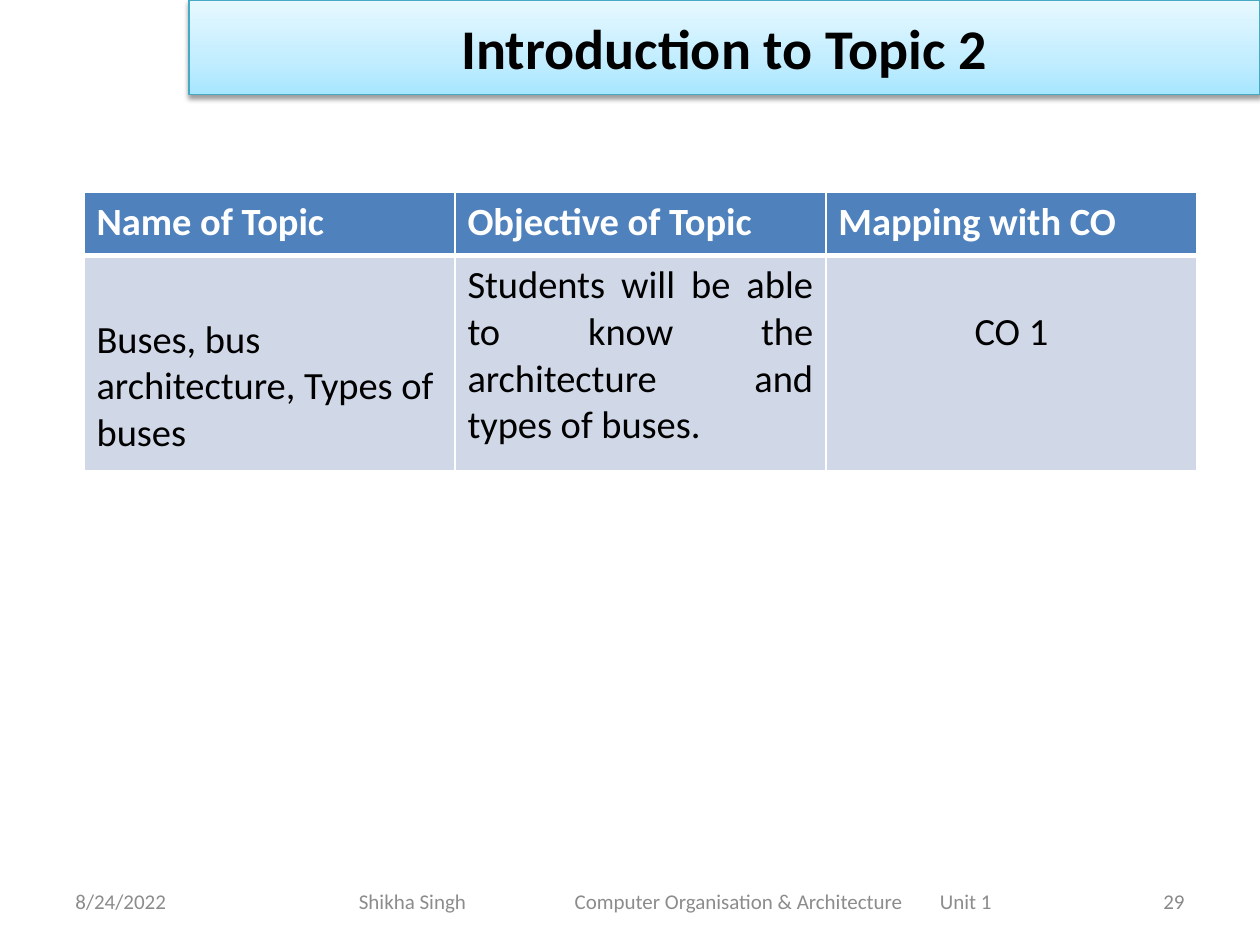
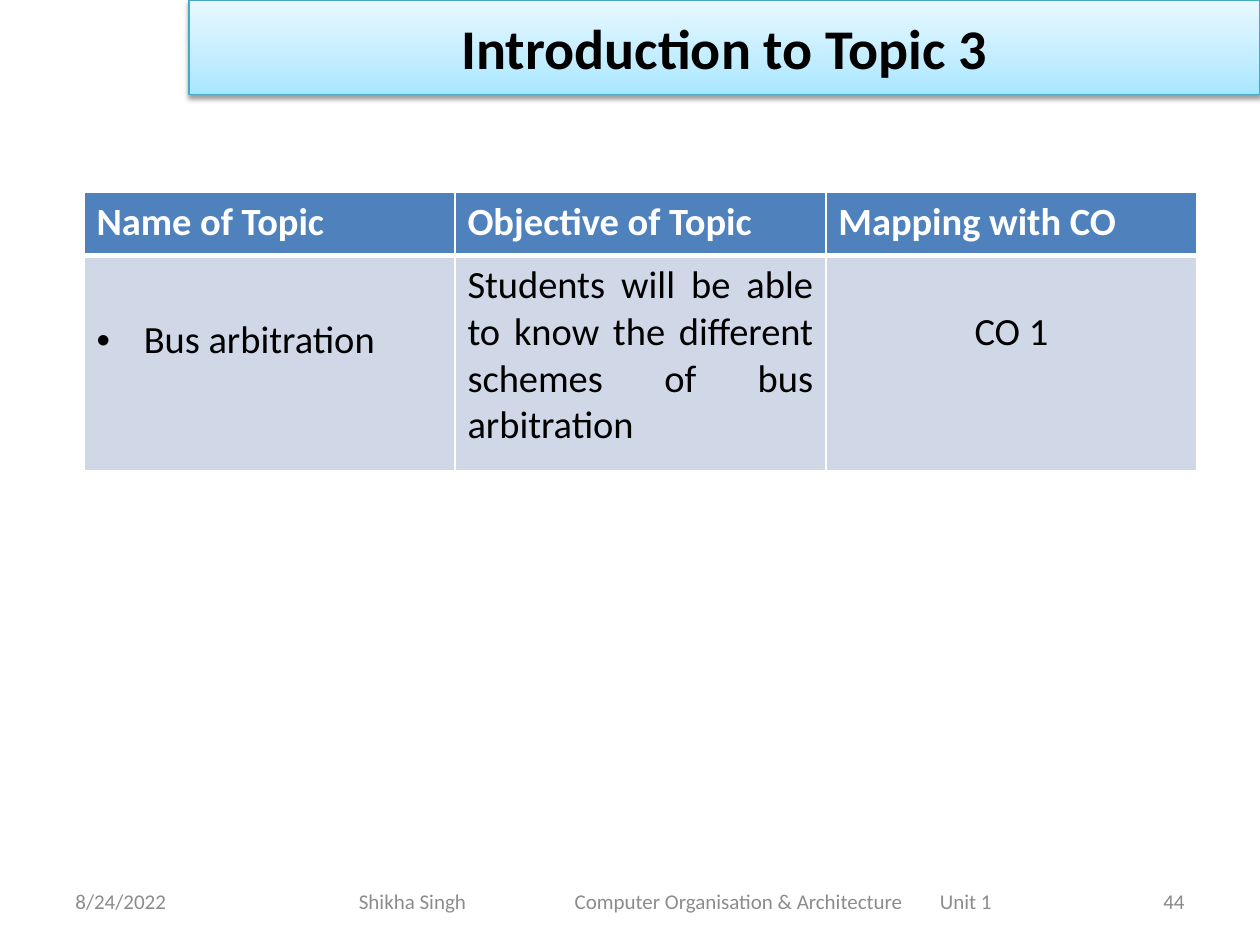
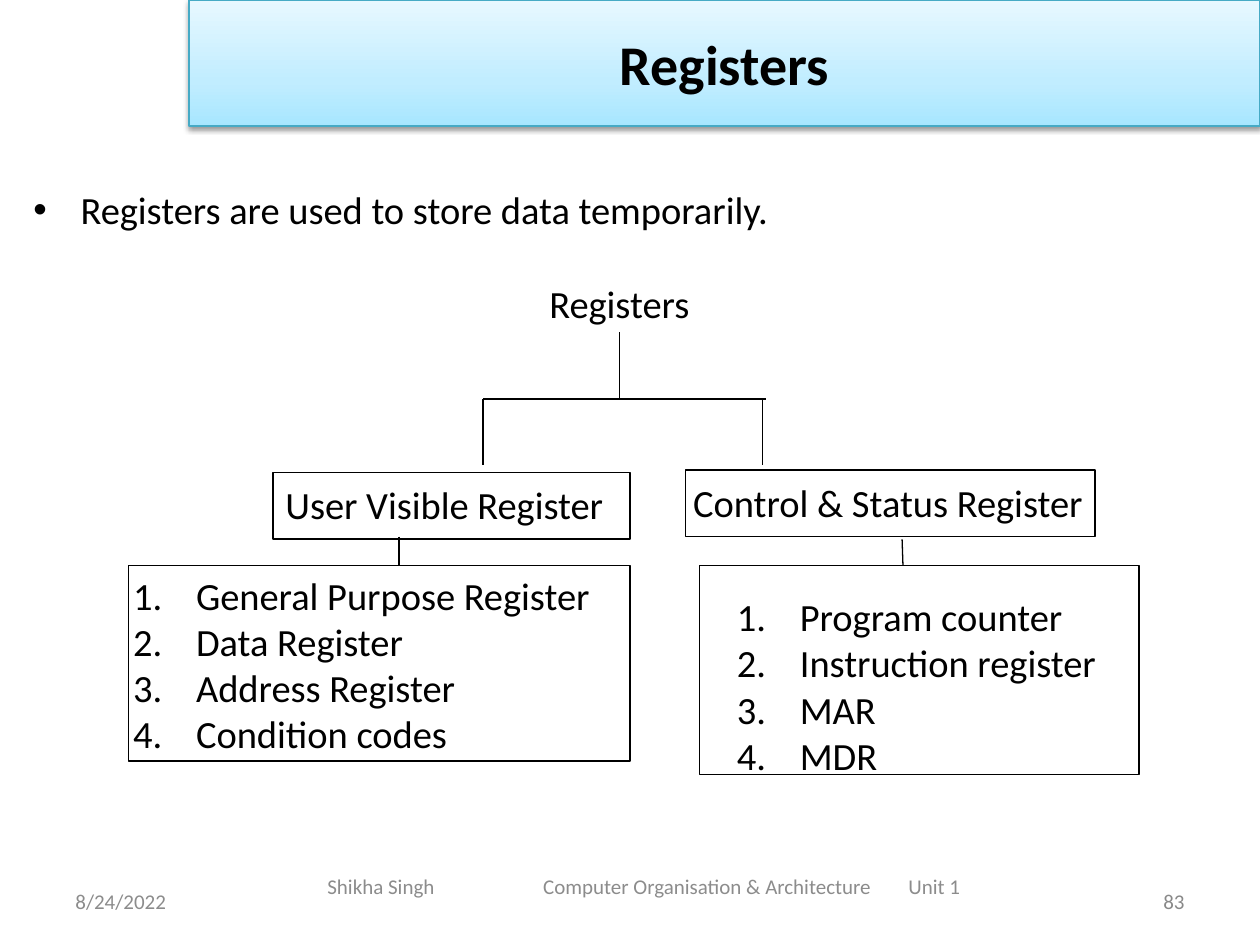
import lxml.etree
import pptx
import pptx.dml.color
import pptx.enum.dml
import pptx.enum.shapes
import pptx.enum.text
import pptx.oxml.ns
import pptx.util

Pt = pptx.util.Pt
Align = pptx.enum.text.PP_ALIGN
Anchor = pptx.enum.text.MSO_ANCHOR
COLORS = {
    "ink": "000000",
    "white": "FFFFFF",
    "footer": "8C8C8C",
    "number": "898989",
    "band_line": "46AAC5",
    "header": "4F81BD",
    "cell": "D0D8E8",
}
BAND_STOPS = [(0, "A7E6FF"), (35, "C1EDFF"), (100, "E7F8FF")]
TEXT_STYLES = {
    "title": {"size": 32, "bold": True, "color": "ink"},
    "body": {"size": 22, "bold": False, "color": "ink"},
    "header": {"size": 22, "bold": True, "color": "white"},
    "footer": {"size": 12, "bold": False, "color": "footer"},
    "number": {"size": 12, "bold": False, "color": "number"},
}
JUSTIFY = {"alignment": Align.JUSTIFY}
CENTER = {"alignment": Align.CENTER}
BULLET = {"alignment": Align.JUSTIFY, "bullet": "•", "indent": 27}
NUMBERED = {"alignment": Align.JUSTIFY, "bullet": "number", "indent": 36}
BODY_LINE = 26.86


def rgb(name):
    return pptx.dml.color.RGBColor.from_string(COLORS[name])


def add_element(parent, tag, **attributes):
    element = lxml.etree.SubElement(parent, pptx.oxml.ns.qn(tag))
    for name, value in attributes.items():
        element.set(name, str(value))
    return element


class SlideBuilder:
    def __init__(self, deck):
        self.deck = deck
        self.slide = None

    def start(self, title, number, band_height=54, footer_at=(198, 500.5)):
        self.slide = self.deck.slides.add_slide(self.deck.slide_layouts[6])
        self.text((36, 500.5, 168, 28.75), [("8/24/2022", {})], "footer", Anchor.MIDDLE)
        self.text(
            (*footer_at, 396, 28.75),
            [("Shikha Singh\tComputer Organisation & Architecture\tUnit 1", {"tabs": (123.3, 332)})],
            "footer",
            Anchor.MIDDLE,
        )
        self.text((516, 500.5, 168, 28.75), [(number, {"alignment": Align.RIGHT})], "number", Anchor.MIDDLE)
        self.band(title, band_height)

    def fill_text(self, frame, lines, style):
        look = TEXT_STYLES[style]
        for index, (words, layout) in enumerate(lines):
            para = frame.paragraphs[0] if index == 0 else frame.add_paragraph()
            properties = para._p.get_or_add_pPr()
            if "bullet" in layout:
                properties.set("marL", str(Pt(layout["indent"])))
                properties.set("indent", str(-Pt(layout["indent"])))
                if layout["bullet"] == "number":
                    add_element(properties, "a:buFont", typeface="+mj-lt")
                    add_element(properties, "a:buAutoNum", type="arabicPeriod")
                else:
                    add_element(properties, "a:buFont", typeface="Arial")
                    add_element(properties, "a:buChar", char=layout["bullet"])
            if "tabs" in layout:
                stops = add_element(properties, "a:tabLst")
                for stop in layout["tabs"]:
                    add_element(stops, "a:tab", pos=Pt(stop), algn="l")
            for name in ("alignment", "space_before"):
                if name in layout:
                    setattr(para, name, layout[name])
            span = para.add_run()
            span.text = words
            formats = {"name": "Calibri", "size": Pt(look["size"]), "bold": look["bold"]}
            for name, value in formats.items():
                setattr(span.font, name, value)
            span.font.color.rgb = rgb(look["color"])

    def text(self, place, lines, style="body", anchor=Anchor.TOP):
        box = self.slide.shapes.add_textbox(*map(Pt, place))
        box.text_frame.word_wrap = True
        box.text_frame.vertical_anchor = anchor
        self.fill_text(box.text_frame, lines, style)
        return box

    def rectangle(self, place, line="ink"):
        box = self.slide.shapes.add_shape(pptx.enum.shapes.MSO_SHAPE.RECTANGLE, *map(Pt, place))
        box.shadow.inherit = False
        box.fill.background()
        box.line.color.rgb = rgb(line)
        box.line.width = Pt(0.75)
        return box

    def band(self, title, height):
        box = self.rectangle((108, 0, 612, height), "band_line")
        box.fill.gradient()
        box.fill.gradient_angle = 90
        properties = box._element.spPr
        stops = properties.find(".//" + pptx.oxml.ns.qn("a:gsLst"))
        for stop in list(stops):
            stops.remove(stop)
        for position, color in BAND_STOPS:
            stop = add_element(stops, "a:gs", pos=position * 1000)
            add_element(stop, "a:srgbClr", val=color)
        effects = properties.find(pptx.oxml.ns.qn("a:effectLst"))
        shadow = add_element(
            effects, "a:outerShdw", blurRad=Pt(3.1), dist=Pt(1.6), dir=90 * 60000, rotWithShape=0
        )
        color = add_element(shadow, "a:srgbClr", val=COLORS["ink"])
        add_element(color, "a:alpha", val=38000)
        box.text_frame.word_wrap = True
        box.text_frame.vertical_anchor = Anchor.MIDDLE
        self.fill_text(box.text_frame, [(title, CENTER)], "title")

    def cell(self, cell, words, style, fill, layout, widths, top_margin=3.6):
        properties = cell._tc.get_or_add_tcPr()
        for side, width in zip("LRTB", widths):
            border = add_element(properties, "a:ln" + side, w=Pt(width))
            paint = add_element(border, "a:solidFill")
            add_element(paint, "a:srgbClr", val=COLORS["white"])
        cell.fill.solid()
        cell.fill.fore_color.rgb = rgb(fill)
        cell.margin_top = Pt(top_margin)
        self.fill_text(cell.text_frame, [(words, layout)], style)

    def topic_table(self, topic, topic_layout, objective):
        table = self.slide.shapes.add_table(2, 3, Pt(48), Pt(110), Pt(636), Pt(159)).table
        for row, height in zip(table.rows, (36, 123)):
            row.height = Pt(height)
        headings = ("Name of Topic", "Objective of Topic", "Mapping with CO")
        for column, heading in enumerate(headings):
            self.cell(table.cell(0, column), heading, "header", "header", {}, (1, 1, 1, 3))
        entries = [
            (topic, topic_layout, 3.6 + BODY_LINE + 4.4),
            (objective, JUSTIFY, 3.6),
            ("CO 1", CENTER, 3.6 + BODY_LINE),
        ]
        for column, (words, layout, top_margin) in enumerate(entries):
            self.cell(table.cell(1, column), words, "body", "cell", layout, (1, 1, 3, 1), top_margin)

    def line(self, start, end, source=None):
        line = self.slide.shapes.add_connector(
            pptx.enum.shapes.MSO_CONNECTOR.STRAIGHT, *map(Pt, (*start, *end))
        )
        line.line.color.rgb = rgb("ink")
        line.line.width = Pt(0.75)
        add_element(line._element.spPr, "a:effectLst")
        if source is not None:
            line.begin_connect(source, 2)


def registers_slide(builder):
    builder.start("Registers", "83", band_height=72, footer_at=(180, 492))
    root = builder.text(
        (12, 103, 684, 87),
        [
            ("Registers are used to store data temporarily.", BULLET),
            ("Registers", {**CENTER, "space_before": Pt(BODY_LINE)}),
        ],
    )
    fork_y = 228
    builder.line((354, 190), (354, fork_y), root)
    for end_x in (438, 276):
        builder.line((360, fork_y), (end_x, fork_y))
    for branch_x in (276, 435.6):
        builder.line((branch_x, fork_y), (branch_x, 265.7))
    branches = [
        {
            "name": "User Visible Register",
            "name_text": (156, 271.5, 234, 34),
            "name_frame": (156, 270, 204, 38),
            "items": ["General Purpose Register", "Data Register", "Address Register", "Condition codes"],
            "items_text": (69, 323.3, 294, 114),
            "items_frame": (73.5, 323.3, 286.5, 111.6),
            "link": ((228, 306.7), (228, 323.3)),
        },
        {
            "name": "Control & Status Register",
            "name_text": (389, 270, 262, 34),
            "name_frame": (391.7, 268.5, 234, 38),
            "items": ["Program counter", "Instruction register", "MAR", "MDR"],
            "items_text": (414, 335.5, 294, 114),
            "items_frame": (399.6, 323.3, 251.3, 119.5),
            "link": ((515.5, 308.2), (516, 323.3)),
        },
    ]
    for branch in branches:
        builder.text(branch["items_text"], [(item, NUMBERED) for item in branch["items"]])
        builder.text(branch["name_text"], [(branch["name"], JUSTIFY)])
        builder.rectangle(branch["name_frame"])
        builder.rectangle(branch["items_frame"])
        builder.line(*branch["link"])


def main():
    deck = pptx.Presentation()
    deck.slide_width, deck.slide_height = Pt(720), Pt(540)
    builder = SlideBuilder(deck)
    builder.start("Introduction to Topic 2", "29")
    builder.topic_table(
        "Buses, bus architecture, Types of buses",
        {},
        "Students will be able to know the architecture and types of buses.",
    )
    builder.start("Introduction to Topic 3", "44")
    builder.topic_table(
        "Bus arbitration",
        BULLET,
        "Students will be able to know the different schemes of bus arbitration",
    )
    registers_slide(builder)
    deck.save("out.pptx")


if __name__ == "__main__":
    main()
